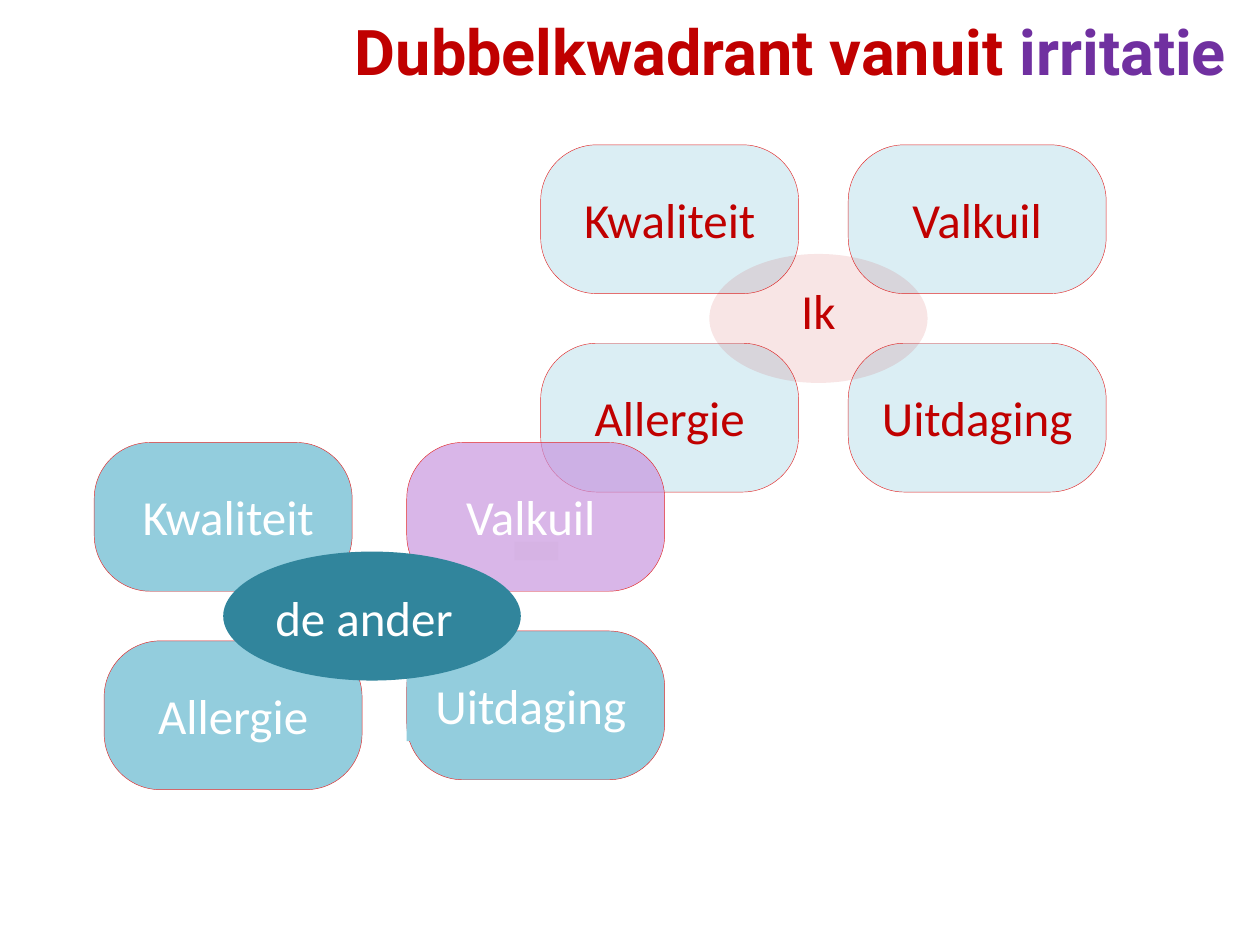
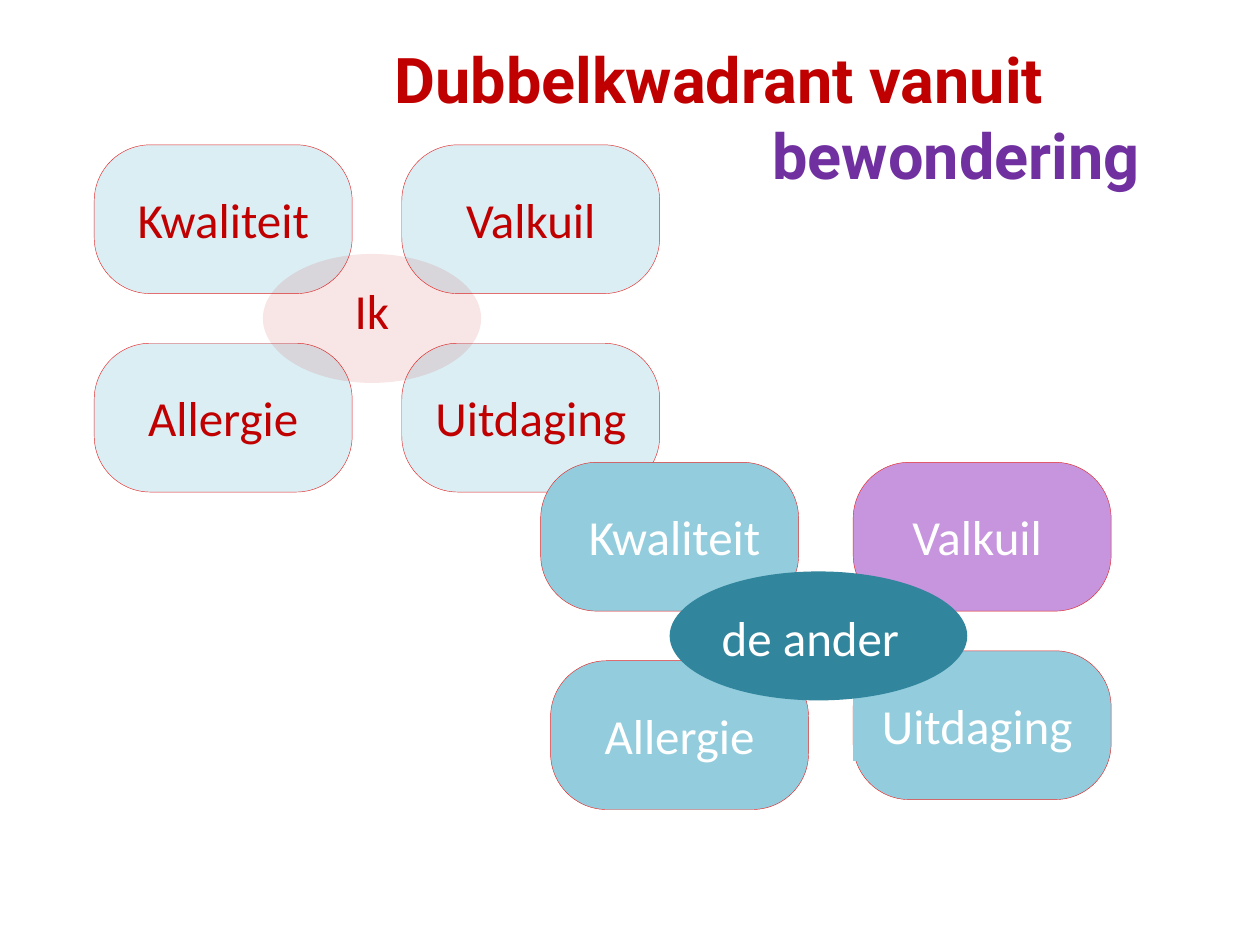
from lxml import etree
from pptx import Presentation
from pptx.dml.color import RGBColor
from pptx.enum.shapes import MSO_SHAPE
from pptx.enum.text import MSO_ANCHOR, MSO_AUTO_SIZE, PP_ALIGN
from pptx.oxml.ns import qn
from pptx.util import Cm, Pt

ROUNDED, OVAL = MSO_SHAPE.ROUNDED_RECTANGLE, MSO_SHAPE.OVAL
MINUS = MSO_SHAPE.MATH_MINUS
LEFT, CENTER = PP_ALIGN.LEFT, PP_ALIGN.CENTER
TITLE_ONLY = 5

# Shared colours, fonts and sizes (cm)
RED, PURPLE, WHITE = "C00000", "7030A0", "FFFFFF"
PALE_BLUE, BLUE, TEAL, LILAC = "DBEEF4", "93CDDD", "31859C", "C794DE"
BORDER, SAND = "E32929", "EEECE1"
TITLE_FONT, BODY_FONT = "Roboto", "Calibri"
CARD_WIDTH, CARD_HEIGHT = 5.2, 3.0
LABEL_DROP, LABEL_HEIGHT = 0.77, 1.45
OVAL_DROP, OVAL_HEIGHT = 2.2, 2.6
NAMES = ("Kwaliteit", "Valkuil", "Allergie", "Uitdaging")


def rgb(value):
    return RGBColor.from_string(value)


def write_text(para, text, color=WHITE, font=BODY_FONT, size=28, bold=False,
               align=LEFT, indent=0):
    """Append one formatted span to a paragraph."""
    para.alignment = align
    if indent:
        properties = para._p.get_or_add_pPr()
        properties.set("marL", str(Cm(indent)))
        properties.set("indent", "0")
    span = para.add_run()
    span.text = text
    span.font.name, span.font.size, span.font.bold = font, Pt(size), bold
    span.font.color.rgb = rgb(color)


def add_shape(page, kind, left, top, width, height, fill, opacity=100,
              border=None):
    shape = page.shapes.add_shape(kind, Cm(left), Cm(top), Cm(width), Cm(height))
    shape.shadow.inherit = False
    shape.fill.solid()
    shape.fill.fore_color.rgb = rgb(fill)
    if opacity < 100:
        color = shape.element.spPr.find(qn("a:solidFill"))[0]
        etree.SubElement(color, qn("a:alpha"), val=str(opacity * 1000))
    if border:
        shape.line.color.rgb = rgb(border)
        shape.line.width = Pt(0.25)
    else:
        shape.line.fill.background()
    return shape


def add_label(page, text, left, top, width, height=LABEL_HEIGHT, fill=None,
              wrap=True, **text_format):
    box = page.shapes.add_textbox(Cm(left), Cm(top), Cm(width), Cm(height))
    if fill:
        box.fill.solid()
        box.fill.fore_color.rgb = rgb(fill)
    box.text_frame.word_wrap = wrap
    box.text_frame.auto_size = MSO_AUTO_SIZE.SHAPE_TO_FIT_TEXT
    write_text(box.text_frame.paragraphs[0], text, **text_format)


def add_card(page, left, top, fill, name, color, label_shift=0,
             label_width=CARD_WIDTH, label_fill=None, opacity=100):
    card = add_shape(page, ROUNDED, left, top, CARD_WIDTH, CARD_HEIGHT, fill,
                     opacity, BORDER)
    card.adjustments[0] = 0.377
    add_label(page, name, left + label_shift, top + LABEL_DROP, label_width,
              fill=label_fill, color=color, align=CENTER)


def add_own_quadrant(page, left, top):
    """Pale cards in an even grid around 'Ik'."""
    add_label(page, "Ik", left + 5, top + 2.62, 1.35, 1.35, wrap=False, color=RED)
    for index, name in enumerate(NAMES):
        row, column = divmod(index, 2)
        add_card(page, left + column * 6.2, top + row * 4, PALE_BLUE, name, RED)
    add_shape(page, OVAL, left + 3.4, top + OVAL_DROP, 4.4, OVAL_HEIGHT, RED,
              opacity=10)


def add_other_quadrant(page, left, top, pitfall_opacity=100):
    """Blue cards around 'de ander', with the pitfall highlighted."""
    # Card offset across and down, then label shift and width
    places = ((0, 0, 0.4, 4.6), (6.3, 0, 0.2, 4.6),
              (0.2, 4, 0.2, 4.8), (6.3, 3.8, 0, 5))
    for name, (across, down, shift, width) in zip(NAMES, places):
        pitfall = name == "Valkuil"
        add_card(page, left + across, top + down, LILAC if pitfall else BLUE,
                 name, WHITE, shift, width, None if pitfall else BLUE,
                 pitfall_opacity if pitfall else 100)
    add_shape(page, OVAL, left + 2.6, top + OVAL_DROP, 6, OVAL_HEIGHT, TEAL)
    add_label(page, "de ander", left + 3.4, top + 2.8, 4.47, wrap=False)


def add_page(deck, left, top, width, height, theme, theme_indent=0):
    """Add a page with its title; an indented theme goes on its own line."""
    page = deck.slides.add_slide(deck.slide_layouts[TITLE_ONLY])
    title = page.shapes.title
    title.left, title.top = Cm(left), Cm(top)
    title.width, title.height = Cm(width), Cm(height)
    frame = title.text_frame
    frame.word_wrap = True
    frame.auto_size = MSO_AUTO_SIZE.NONE
    frame.vertical_anchor = MSO_ANCHOR.TOP
    style = dict(font=TITLE_FONT, size=36, bold=True)
    para = frame.paragraphs[0]
    write_text(para, "Dubbelkwadrant vanuit ", color=RED, **style)
    if theme_indent:
        para = frame.add_paragraph()
    write_text(para, theme, color=PURPLE, indent=theme_indent, **style)
    return page


def main():
    deck = Presentation()
    deck.slide_width, deck.slide_height = Cm(25.4), Cm(19.05)

    # Starting from irritation
    page = add_page(deck, 6.9, 0.13, 18.16, 2.2, "irritatie")
    add_own_quadrant(page, 10.9, 2.92)
    add_shape(page, MINUS, 10.21, 10.31, 1.2, 1.6, SAND, opacity=37)
    add_other_quadrant(page, 1.9, 8.92, pitfall_opacity=68)

    # Starting from admiration
    page = add_page(deck, 7.7, 0.69, 16.94, 1.8, "bewondering", theme_indent=7.62)
    add_own_quadrant(page, 1.9, 2.92)
    add_other_quadrant(page, 10.9, 9.32)

    deck.save("out.pptx")


if __name__ == "__main__":
    main()
